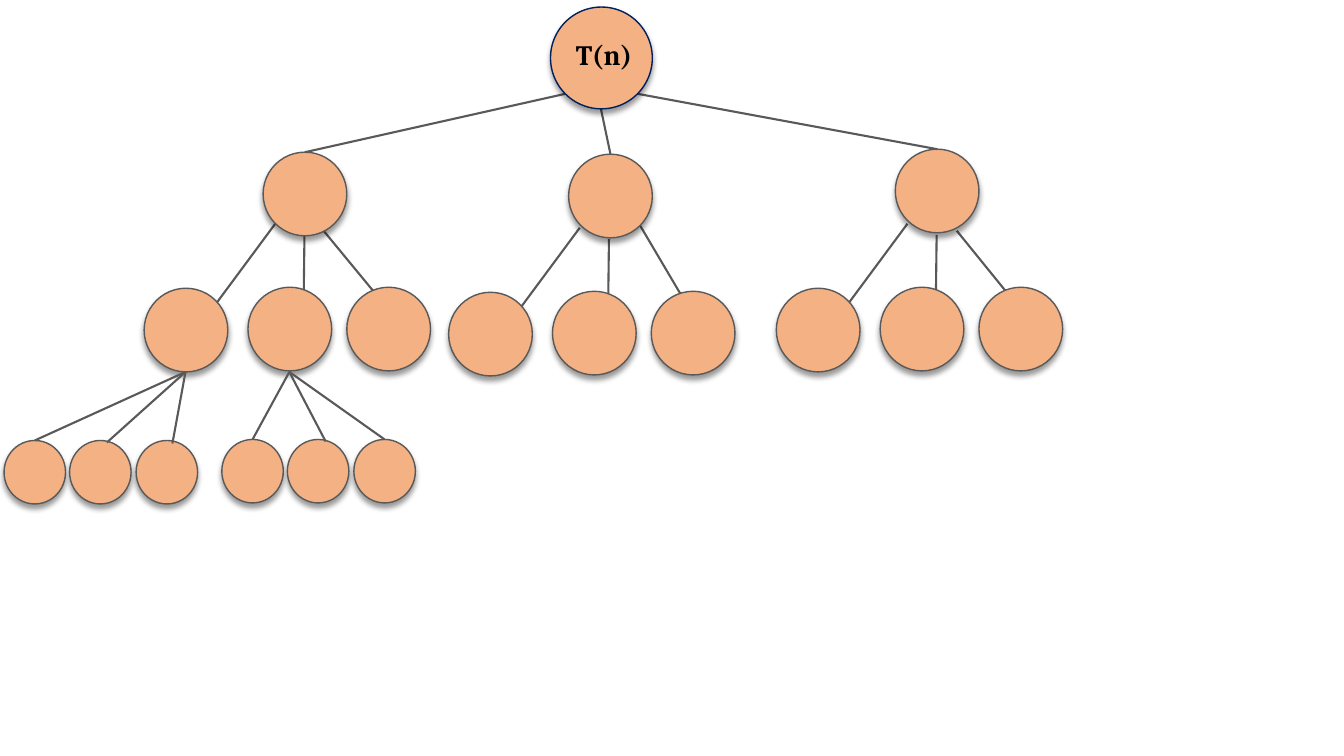
import pptx
import pptx.dml.color
import pptx.enum.shapes
import pptx.enum.text
import pptx.oxml
import pptx.util
from pptx.util import Inches

NAMESPACE = 'xmlns:a="http://schemas.openxmlformats.org/drawingml/2006/main"'
SHADOW = (
    f'<a:effectLst {NAMESPACE}><a:outerShdw blurRad="50800" dist="38100" dir="5400000" '
    'rotWithShape="0"><a:srgbClr val="000000"><a:alpha val="40000"/></a:srgbClr>'
    '</a:outerShdw></a:effectLst>'
)
NO_EFFECT = f'<a:effectLst {NAMESPACE}/>'


def color(value):
    return pptx.dml.color.RGBColor.from_string(value)


def write_text(frame, text, *, font, size, ink, bold=False):
    paragraph = frame.paragraphs[0]
    paragraph.text = text
    paragraph.alignment = pptx.enum.text.PP_ALIGN.CENTER
    paragraph.font.name = font
    paragraph.font.size = pptx.util.Pt(size)
    paragraph.font.bold = bold
    paragraph.font.color.rgb = color(ink)


class TreeSlide:
    FILL = "F4B183"
    LINE = "595959"
    ROOT_LINE = "002060"
    FONT = "Cambria"

    def __init__(self, presentation):
        self.slide = presentation.slides.add_slide(presentation.slide_layouts[6])

    def node(self, left, top, width, height, line=LINE):
        shape = self.slide.shapes.add_shape(
            pptx.enum.shapes.MSO_SHAPE.OVAL,
            Inches(left), Inches(top), Inches(width), Inches(height))
        shape.fill.solid()
        shape.fill.fore_color.rgb = color(self.FILL)
        shape.line.color.rgb = color(line)
        shape.line.width = pptx.util.Pt(1)
        shape._element.spPr.append(pptx.oxml.parse_xml(SHADOW))
        return shape

    def edge(self, start, end=(0, 0), child=None):
        connector = self.slide.shapes.add_connector(
            pptx.enum.shapes.MSO_CONNECTOR.STRAIGHT,
            *(Inches(value) for value in (*start, *end)))
        connector.line.color.rgb = color(self.LINE)
        connector.line.width = pptx.util.Pt(1.5)
        connector._element.spPr.append(pptx.oxml.parse_xml(NO_EFFECT))
        if child is not None:
            connector.end_connect(child, 0)

    def label(self, text, left, top, width, height):
        box = self.slide.shapes.add_textbox(
            Inches(left), Inches(top), Inches(width), Inches(height))
        box.fill.solid()
        box.fill.fore_color.rgb = color(self.FILL)
        frame = box.text_frame
        frame.word_wrap = False
        frame.auto_size = pptx.enum.text.MSO_AUTO_SIZE.SHAPE_TO_FIT_TEXT
        frame.vertical_anchor = pptx.enum.text.MSO_ANCHOR.MIDDLE
        write_text(frame, text, font=self.FONT, size=20, ink="000000", bold=True)


NODE = 0.83
LEAF = (0.61, 0.63)
ROOT_EXITS = [(5.61, 0.93), (5.96, 1.08), (6.32, 0.93)]
PARENTS = [(2.61, 1.51), (5.64, 1.53), (8.88, 1.48)]
MIDDLE_CHILDREN = [(2.46, 2.85), (5.48, 2.89), (8.73, 2.85)]
RIGHT_EXITS = [(0.75, -0.56), (0.87, -0.65), (0.76, -0.56)]
CHILD_OFFSETS = [(-1.03, 0.01), (0, 0), (0.98, 0)]
LEAF_OFFSETS = [0, 0.65, 1.31]
LEAF_GROUPS = [
    ((1.84, 3.69), (0.04, 4.37), [None, (1.06, 4.39), (1.71, 4.4)]),
    ((2.87, 3.69), (2.2, 4.36), [None, (3.23, 4.38), None]),
]


def main():
    presentation = pptx.Presentation()
    presentation.slide_width = Inches(13.33)
    presentation.slide_height = Inches(7.5)
    tree = TreeSlide(presentation)

    for (x, y), right_exit in zip(MIDDLE_CHILDREN, RIGHT_EXITS):
        branch_edges = [
            ((0.27, -0.63), (-0.33, 0.18)),
            ((0.56, -0.52), (0.55, 0.29)),
            (right_exit, (1.36, 0.18)),
        ]
        for (start_x, start_y), (end_x, end_y) in branch_edges:
            tree.edge((x + start_x, y + start_y), (x + end_x, y + end_y))
        for offset_x, offset_y in CHILD_OFFSETS:
            tree.node(x + offset_x, y + offset_y, NODE, NODE)

    for (left, top), root_exit in zip(PARENTS, ROOT_EXITS):
        parent = tree.node(left, top, NODE, NODE)
        tree.edge(root_exit, child=parent)

    tree.node(5.46, 0.07, 1.01, 1.01, line=tree.ROOT_LINE)
    tree.label("T(n)", 5.6, 0.32, 0.78, 0.44)

    for start, (left, top), ends in LEAF_GROUPS:
        leaves = [tree.node(left + offset, top, *LEAF) for offset in LEAF_OFFSETS]
        for leaf, end in zip(leaves, ends):
            if end is None:
                tree.edge(start, child=leaf)
            else:
                tree.edge(start, end)

    presentation.save("out.pptx")


if __name__ == "__main__":
    main()
